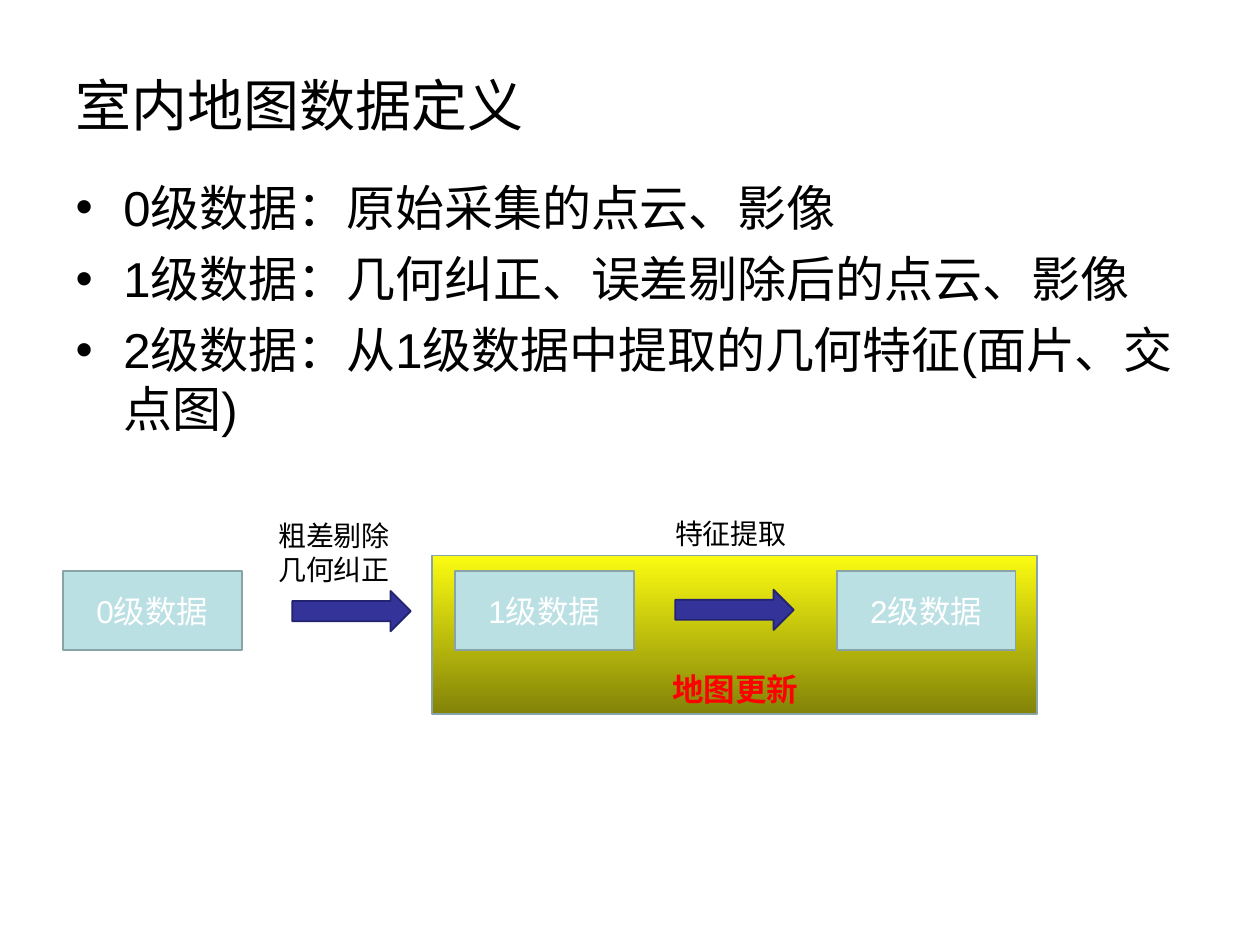
from dataclasses import dataclass

from pptx import Presentation
from pptx import util as u
from pptx.dml.color import RGBColor as Rgb
from pptx.enum import shapes, text
from pptx.oxml import parse_xml as to_xml
from pptx.oxml.ns import nsdecls

Inch = u.Inches
Geo = shapes.MSO_SHAPE
Side = text.PP_ALIGN
Mid = text.MSO_ANCHOR.MIDDLE
Top = text.MSO_ANCHOR.TOP


@dataclass(frozen=True)
class Theme:
    font: str = "Arial"
    ink: str = "000000"
    pale: str = "FFFFFF"
    alert: str = "FF0000"
    box: str = "BBE0E3"
    edge: str = "89A4A7"
    arrow: str = "333399"
    rim: str = "23236F"
    glow: tuple = ("FBFB11", "838309")
    head: int = 32
    body: int = 28
    node: int = 18
    note: int = 16


LOOK = Theme()


def put(shape, box):
    shape.left, shape.top, shape.width, shape.height = map(Inch, box)


def write(shape, lines, size, tint, side=Side.LEFT, anchor=Mid, bold=False):
    frame = shape.text_frame
    frame.word_wrap = True
    frame.auto_size = text.MSO_AUTO_SIZE.NONE
    frame.vertical_anchor = anchor
    for i, line in enumerate(lines):
        para = frame.paragraphs[0] if i == 0 else frame.add_paragraph()
        para.alignment = side
        run = para.add_run()
        run.text = line
        font = run.font
        font.name, font.size, font.bold = LOOK.font, u.Pt(size), bold
        font.color.rgb = Rgb.from_string(tint)
    return frame


def draw(slide, kind, box, fill, edge):
    shape = slide.shapes.add_shape(kind, *map(Inch, box))
    shape.shadow.inherit = False
    if isinstance(fill, tuple):
        shape.fill.gradient()
        shape.fill.gradient_angle = 270
        for i, (stop, tint) in enumerate(zip(shape.fill.gradient_stops, fill)):
            stop.position = i
            stop.color.rgb = Rgb.from_string(tint)
    else:
        shape.fill.solid()
        shape.fill.fore_color.rgb = Rgb.from_string(fill)
    shape.line.color.rgb = Rgb.from_string(edge)
    shape.line.width = u.Pt(1)
    return shape


def label(slide, box, lines, size, tint, **style):
    shape = slide.shapes.add_textbox(*map(Inch, box))
    write(shape, lines, size, tint, anchor=Top, **style)


def title(slide, box):
    shape = slide.shapes.title
    put(shape, box)
    write(shape, ["室内地图数据定义"], LOOK.head, LOOK.ink)


def levels(slide, box):
    shape = slide.placeholders[1]
    put(shape, box)
    lines = [
        "0级数据：原始采集的点云、影像",
        "1级数据：几何纠正、误差剔除后的点云、影像",
        "2级数据：从1级数据中提取的几何特征(面片、交点图)",
    ]
    frame = write(shape, lines, LOOK.body, LOOK.ink, anchor=Top)
    for i, para in enumerate(frame.paragraphs):
        props = para._p.get_or_add_pPr()
        props.set("marL", str(Inch(0.38)))
        props.set("indent", str(Inch(-0.38)))
        props.append(to_xml(f'<a:buChar {nsdecls("a")} char="•"/>'))
        para.space_before = u.Pt(7 if i else 0)


def flow(slide, box):
    left, top, _, high = box
    panel = left + 2.93
    draw(slide, Geo.RECTANGLE, (panel, top, 4.8, high), LOOK.glow, LOOK.edge)
    for i, shift in enumerate((0, 3.11, 6.14)):
        spot = (left + shift, top + 0.12, 1.42, 0.63)
        node = draw(slide, Geo.RECTANGLE, spot, LOOK.box, LOOK.edge)
        write(node, [f"{i}级数据"], LOOK.node, LOOK.pale, side=Side.CENTER)
    for shift, drop in ((1.82, 0.28), (4.86, 0.27)):
        spot = (left + shift, top + drop, 0.94, 0.32)
        draw(slide, Geo.RIGHT_ARROW, spot, LOOK.arrow, LOOK.rim)
    notes = (
        (1.61, -0.34, 0.64, ["粗差剔除", "几何纠正"]),
        (4.76, -0.36, 0.37, ["特征提取"]),
    )
    for shift, drop, tall, lines in notes:
        spot = (left + shift, top + drop, 1.16, tall)
        label(slide, spot, lines, LOOK.note, LOOK.ink)
    spot = (panel + 1.46, top + high - 0.4, 1.89, 0.4)
    label(slide, spot, ["地图更新"], LOOK.node, LOOK.alert,
          side=Side.CENTER, bold=True)


def main():
    deck = Presentation()
    deck.slide_width, deck.slide_height = Inch(10), Inch(7.5)
    slide = deck.slides.add_slide(deck.slide_layouts[1])
    title(slide, (0.5, 0.3, 9, 1.06))
    levels(slide, (0.5, 1.36, 9, 2.43))
    flow(slide, (0.5, 4.41, 7.73, 1.26))
    deck.save("out.pptx")


if __name__ == "__main__":
    main()
